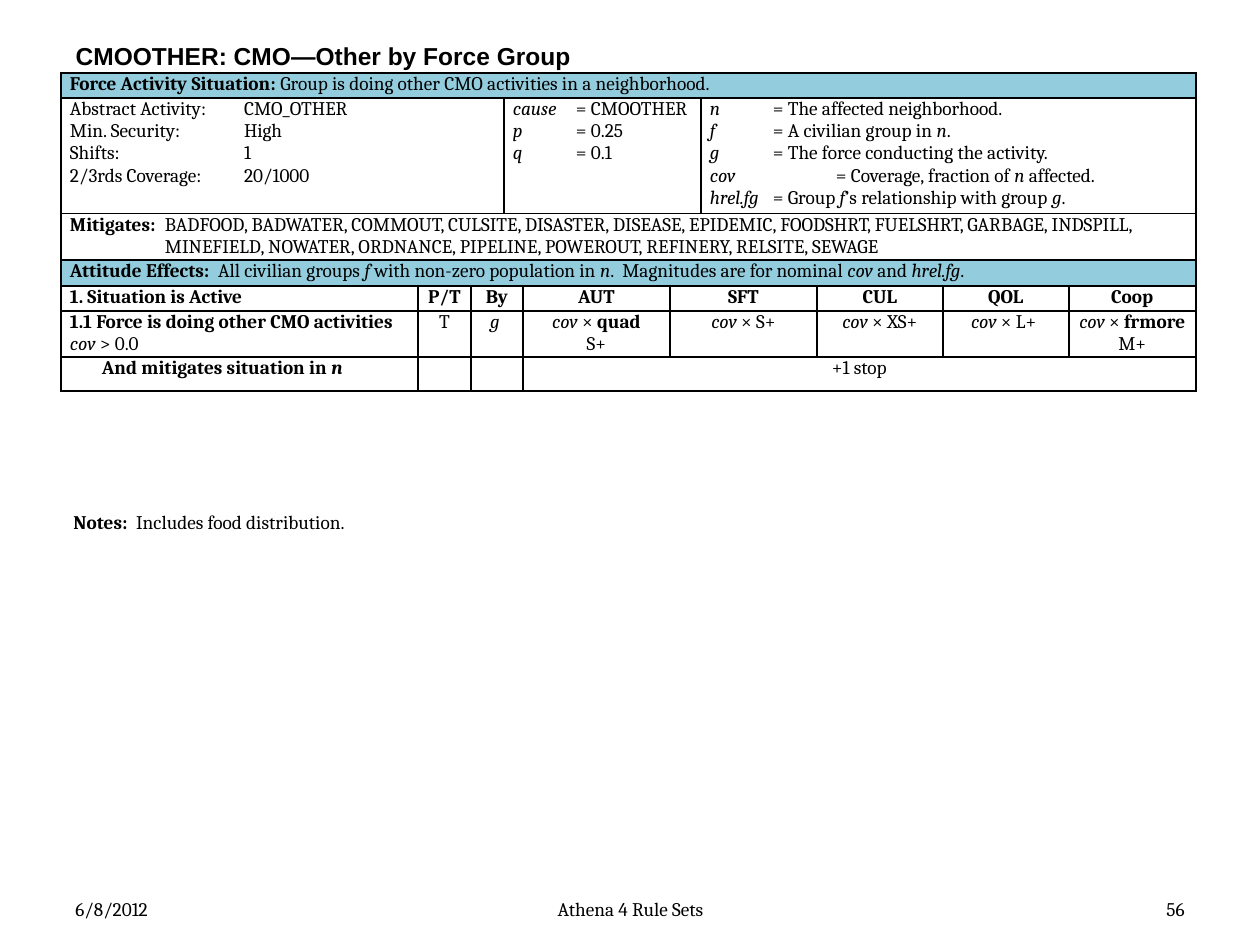
"""Build the CMOOTHER rule set slide with its table of force activity effects."""
from lxml import etree
from pptx import Presentation
from pptx.dml.color import RGBColor
from pptx.enum.text import MSO_ANCHOR, PP_ALIGN
from pptx.oxml.ns import qn
from pptx.util import Pt

LEFT, CENTER, RIGHT = PP_ALIGN.LEFT, PP_ALIGN.CENTER, PP_ALIGN.RIGHT
TOP, MIDDLE = MSO_ANCHOR.TOP, MSO_ANCHOR.MIDDLE
PX = 914400 // 126
COLORS = {"text": "000000", "band": "93CDDD", "plain": "FFFFFF"}
BODY = {"name": "Cambria", "size": Pt(11)}
HEADING = {"name": "Arial", "size": Pt(14)}


def write_text(frame, lines, alignment=LEFT, tabs=(), hanging=0, font=BODY):
    """Write lines in which * switches bold and ~ switches italic."""
    for index, line in enumerate(lines):
        paragraph = frame.paragraphs[0] if index == 0 else frame.add_paragraph()
        paragraph.alignment = alignment
        properties = paragraph._p.get_or_add_pPr()
        if hanging:
            properties.set("marL", str(hanging * PX))
            properties.set("indent", str(-hanging * PX))
        if tabs:
            tab_list = etree.SubElement(properties, qn("a:tabLst"))
            position = tabs[min(index, len(tabs) - 1)]
            etree.SubElement(tab_list, qn("a:tab"), pos=str(position * PX), algn="l")
        for bold, bold_part in enumerate(line.split("*")):
            for italic, piece in enumerate(bold_part.split("~")):
                if not piece:
                    continue
                run = paragraph.add_run()
                run.text = piece
                styles = {**font, "bold": bold % 2 == 1, "italic": italic % 2 == 1}
                for name, value in styles.items():
                    setattr(run.font, name, value)
                run.font.color.rgb = RGBColor.from_string(COLORS["text"])
        if not line:
            etree.SubElement(paragraph._p, qn("a:endParaRPr"), sz=str(int(BODY["size"].pt * 100)))


presentation = Presentation()
presentation.slide_width, presentation.slide_height = 1260 * PX, 945 * PX
slide = presentation.slides.add_slide(presentation.slide_layouts[5])

title = slide.shapes.title
title.left, title.top, title.width, title.height = 63 * PX, 38 * PX, 1134 * PX, 35 * PX
title.text_frame.vertical_anchor = MIDDLE
write_text(title.text_frame, ["*CMOOTHER: CMO—Other by Force Group*"], font=HEADING)

text_boxes = [
    (63, 892, 294, 34, MIDDLE, LEFT, "6/8/2012"),
    (431, 892, 399, 34, MIDDLE, CENTER, "Athena 4 Rule Sets"),
    (903, 892, 294, 34, MIDDLE, RIGHT, "56"),
    (61, 504, 1144, 37, TOP, LEFT, "*Notes:  *Includes food distribution."),
]
for left, top, width, height, anchor, alignment, text in text_boxes:
    box = slide.shapes.add_textbox(left * PX, top * PX, width * PX, height * PX)
    box.text_frame.word_wrap = True
    box.text_frame.vertical_anchor = anchor
    write_text(box.text_frame, [text], alignment)

column_widths = [357, 53, 33, 19, 147, 31, 116, 126, 126, 127]
row_heights = [25, 112, 44, 26, 25, 44, 34]
row_fills = ["band", None, "plain", "band", "plain", None, None]
centered = {"alignment": CENTER}
effect_spans = [1, 1, 2, 1, 2, 1, 1, 1]
effect_formats = [{}] + [centered] * 7
headings = ["1. Situation is Active", "P/T", "By", "AUT", "SFT", "CUL", "QOL", "Coop"]
effects = [
    ["*1.1 Force is doing other CMO activities*", "~cov~ > 0.0"],
    ["T"],
    ["~g ~"],
    ["~cov~ × *quad*", "S+"],
    ["~cov~ × S+"],
    ["~cov~ × XS+"],
    ["~cov~ × L+ "],
    ["~cov~ × *frmore*", "M+"],
]
table_rows = [
    [(10, ["*Force Activity Situation:* Group is doing other CMO activities in a neighborhood."], {})],
    [
        (3, ["Abstract Activity:\tCMO_OTHER", "Min. Security:\tHigh", "Shifts:\t1",
             "2/3rds Coverage:\t20/1000"], {"tabs": [174]}),
        (3, ["~cause~\t= CMOOTHER", "~p~\t= 0.25", "~q~\t= 0.1"], {"tabs": [63]}),
        (4, ["~n~\t= The affected neighborhood.", "~f\t~= A civilian group in ~n~.",
             "~g~ \t= The force conducting the activity.",
             "~cov\t~= Coverage, fraction of ~n~ affected.",
             "~hrel.fg\t~= Group ~f~’s relationship with group ~g~."],
         {"tabs": [63, 63, 63, 126, 63]}),
    ],
    [(10, ["*Mitigates:*\tBADFOOD, BADWATER, COMMOUT, CULSITE, DISASTER, DISEASE, EPIDEMIC, "
           "FOODSHRT, FUELSHRT, GARBAGE, INDSPILL, MINEFIELD, NOWATER, ORDNANCE, PIPELINE, "
           "POWEROUT, REFINERY, RELSITE, SEWAGE"], {"hanging": 95})],
    [(10, ["*Attitude Effects:  *All civilian groups ~f ~with non-zero population in ~n~.  "
           "Magnitudes are for nominal ~cov ~and ~hrel.fg~."], {})],
    list(zip(effect_spans, [[f"*{heading}*"] for heading in headings], effect_formats)),
    list(zip(effect_spans, effects, effect_formats)),
    [(1, ["*\tAnd mitigates situation in ~n~*"], {"tabs": [32]}), (1, [""], {}), (2, [""], {}),
     (6, ["+1 stop"], centered)],
]

table = slide.shapes.add_table(len(row_heights), len(column_widths), 61 * PX, 73 * PX,
                               sum(column_widths) * PX, sum(row_heights) * PX).table
table.first_row = table.horz_banding = False
for column, width in zip(table.columns, column_widths):
    column.width = width * PX
for row, height, fill in zip(table.rows, row_heights, row_fills):
    row.height = height * PX
    for cell in row.cells:
        cell.margin_left = cell.margin_right = 9 * PX
        cell.margin_top = cell.margin_bottom = 0
        properties = cell._tc.get_or_add_tcPr()
        for side in ("a:lnL", "a:lnR", "a:lnT", "a:lnB"):
            border = etree.SubElement(properties, qn(side), w=str(Pt(1)))
            solid = etree.SubElement(border, qn("a:solidFill"))
            etree.SubElement(solid, qn("a:srgbClr"), val=COLORS["text"])
        if fill:
            cell.fill.solid()
            cell.fill.fore_color.rgb = RGBColor.from_string(COLORS[fill])
        else:
            cell.fill.background()
for row_index, row_cells in enumerate(table_rows):
    column_index = 0
    for span, lines, formats in row_cells:
        cell = table.cell(row_index, column_index)
        column_index += span
        if span > 1:
            cell.merge(table.cell(row_index, column_index - 1))
        write_text(cell.text_frame, lines, **formats)

presentation.save("out.pptx")
